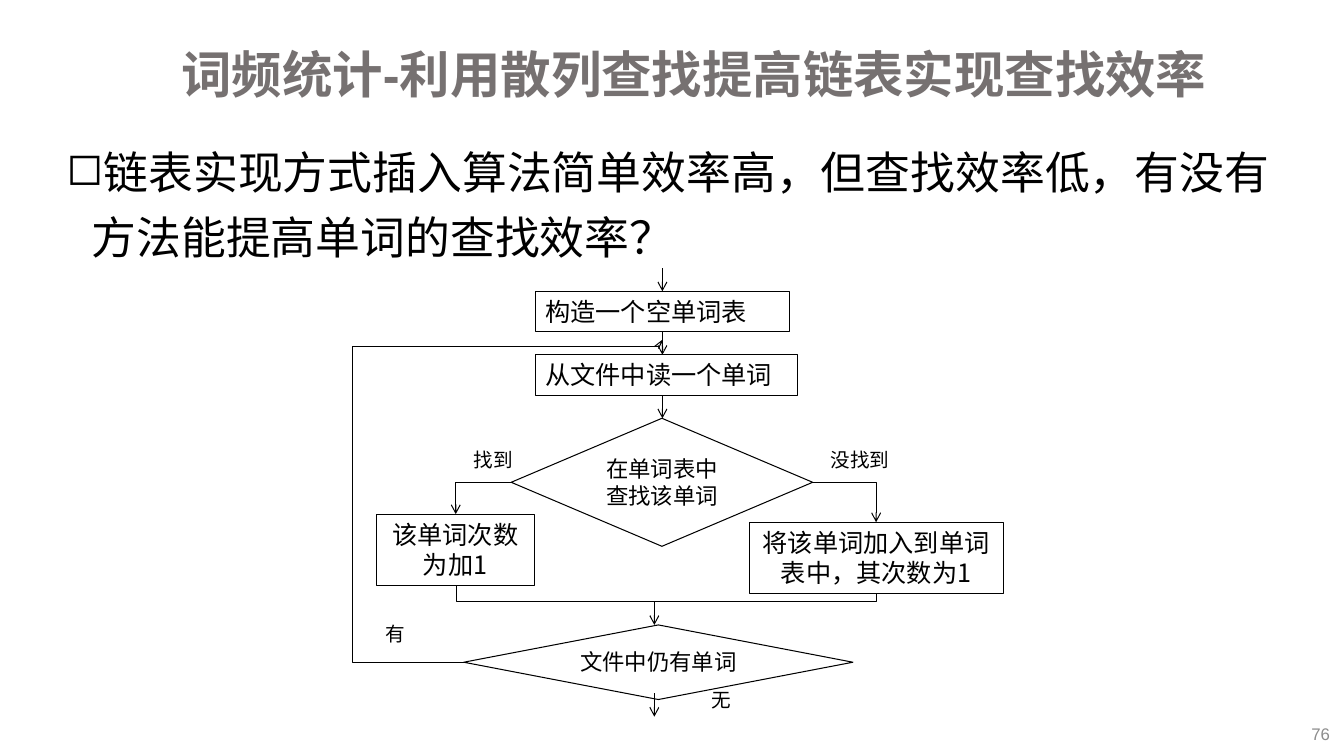
import pptx
import pptx.dml.color
import pptx.enum.shapes
import pptx.enum.text
import pptx.oxml.ns
import pptx.util
from lxml import etree
from pptx.util import Inches

COLORS = {"black": "000000", "white": "FFFFFF", "title": "767171", "number": "8C8C8C"}
CJK_FONT = "Noto Sans CJK SC"
ALIGN = pptx.enum.text.PP_ALIGN
ANCHOR = pptx.enum.text.MSO_ANCHOR
AUTO_SIZE = pptx.enum.text.MSO_AUTO_SIZE
SHAPES = pptx.enum.shapes.MSO_SHAPE
CONNECTORS = pptx.enum.shapes.MSO_CONNECTOR
qn = pptx.oxml.ns.qn


def color(name):
    return pptx.dml.color.RGBColor.from_string(COLORS[name])


def write(shape, text, size, font=CJK_FONT, ink="black", bold=False, align=ALIGN.LEFT, **frame_format):
    """Put one formatted paragraph in the shape; frame_format holds text frame attributes."""
    frame = shape.text_frame
    for name, value in {"word_wrap": True, **frame_format}.items():
        setattr(frame, name, value)
    paragraph = frame.paragraphs[0]
    paragraph.alignment = align
    run = paragraph.add_run()
    run.text = text
    for name, value in {"name": font, "size": pptx.util.Pt(size), "bold": bold}.items():
        setattr(run.font, name, value)
    run.font.color.rgb = color(ink)
    etree.SubElement(run.font._element, qn("a:ea"), typeface=CJK_FONT)
    return paragraph


presentation = pptx.Presentation()
presentation.slide_width = Inches(13.33)
presentation.slide_height = Inches(7.5)
slide = presentation.slides.add_slide(presentation.slide_layouts[6])

# Title, slide number and question
title = slide.shapes.add_textbox(Inches(1.7), Inches(0.34), Inches(11.25), Inches(0.85))
write(title, "词频统计-利用散列查找提高链表实现查找效率", 36, "Arial", "title", True,
      vertical_anchor=ANCHOR.MIDDLE).line_spacing = 0.9
number = slide.shapes.add_textbox(Inches(10.29), Inches(7.12), Inches(3), Inches(0.31))
write(number, "76", 12, "Arial", "number", align=ALIGN.RIGHT, vertical_anchor=ANCHOR.MIDDLE)
body = slide.shapes.add_textbox(Inches(0.56), Inches(1.28), Inches(12.39), Inches(5.83))
question = write(body, "链表实现方式插入算法简单效率高，但查找效率低，有没有方法能提高单词的查找效率？",
                 32, "Times New Roman")
question.line_spacing = 1.2
properties = question._p.get_or_add_pPr()
properties.set("marL", str(Inches(0.25)))
properties.set("indent", str(Inches(-0.25)))
etree.SubElement(properties, qn("a:buChar"), char="◻")

# Flowchart steps: left, top, width, height, preset, text size, alignment, text
steps = [
    (5.31, 2.89, 2.52, 0.4, SHAPES.RECTANGLE, 18, ALIGN.LEFT, "构造一个空单词表"),
    (5.31, 3.52, 2.6, 0.4, SHAPES.RECTANGLE, 18, ALIGN.LEFT, "从文件中读一个单词"),
    (5.07, 4.15, 2.99, 1.27, SHAPES.FLOWCHART_DECISION, 16, ALIGN.CENTER, "在单词表中查找该单词"),
    (7.43, 5.18, 2.52, 0.71, SHAPES.RECTANGLE, 18, ALIGN.CENTER, "将该单词加入到单词表中，其次数为1"),
    (3.73, 5.1, 1.57, 0.71, SHAPES.RECTANGLE, 18, ALIGN.CENTER, "该单词次数为加1"),
    (4.6, 6.2, 3.86, 0.74, SHAPES.FLOWCHART_DECISION, 16, ALIGN.CENTER, "文件中仍有单词"),
]
for left, top, width, height, preset, size, align, text in steps:
    step = slide.shapes.add_shape(preset, Inches(left), Inches(top), Inches(width), Inches(height))
    step.shadow.inherit = False
    step.fill.solid()
    step.fill.fore_color.rgb = color("white")
    step.line.color.rgb = color("black")
    step.line.width = pptx.util.Pt(0.75)
    write(step, text, size, align=align, vertical_anchor=ANCHOR.TOP,
          auto_size=AUTO_SIZE.SHAPE_TO_FIT_TEXT)

# Flow lines: left, top, width, height, preset, transform, bends in percent, arrowhead
down_arrows = [(6.57, 2.66), (6.57, 3.29), (6.57, 3.92), (6.49, 5.97), (6.49, 6.88)]
flows = [(x, y, 0, 0.23, "line", {}, [], True) for x, y in down_arrows] + [
    (8.06, 4.79, 0.63, 0.39, "bentConnector2", {}, [], True),
    (4.52, 4.79, 0.55, 0.31, "bentConnector2", {"rot": 180, "flipV": 1}, [], True),
    (6.57, 3.76, 0.08, 4.17, "bentConnector3", {"rot": 270, "flipH": 1}, [198.1], False),
    (4.6, 3.37, 1.97, 3.2, "bentConnector4", {"rot": 180, "flipH": 1}, [-56.2, 97.9], True),
]
for left, top, width, height, preset, transform, bends, arrowhead in flows:
    flow = slide.shapes.add_connector(CONNECTORS.STRAIGHT, Inches(left), Inches(top),
                                      Inches(left + width), Inches(top + height))
    flow.line.color.rgb = color("black")
    flow.line.width = pptx.util.Pt(0.75)
    shape_properties = flow._element.spPr
    for name, value in transform.items():
        shape_properties.find(qn("a:xfrm")).set(name, str(value * 60000 if name == "rot" else value))
    geometry = shape_properties.find(qn("a:prstGeom"))
    geometry.set("prst", preset)
    for index, bend in enumerate(bends, 1):
        etree.SubElement(geometry.find(qn("a:avLst")), qn("a:gd"), name=f"adj{index}",
                         fmla=f"val {round(bend * 1000)}")
    if arrowhead:
        etree.SubElement(shape_properties.find(qn("a:ln")), qn("a:tailEnd"), type="arrow")
    etree.SubElement(shape_properties, qn("a:effectLst"))

# Branch labels
labels = [(4.6, 4.39, 0.59, "找到"), (8.14, 4.39, 0.79, "没找到"),
          (3.73, 6.12, 0.4, "有"), (6.96, 6.78, 0.4, "无")]
for left, top, width, text in labels:
    label = slide.shapes.add_textbox(Inches(left), Inches(top), Inches(width), Inches(0.34))
    write(label, text, 14, word_wrap=False, auto_size=AUTO_SIZE.SHAPE_TO_FIT_TEXT)

presentation.save("out.pptx")
